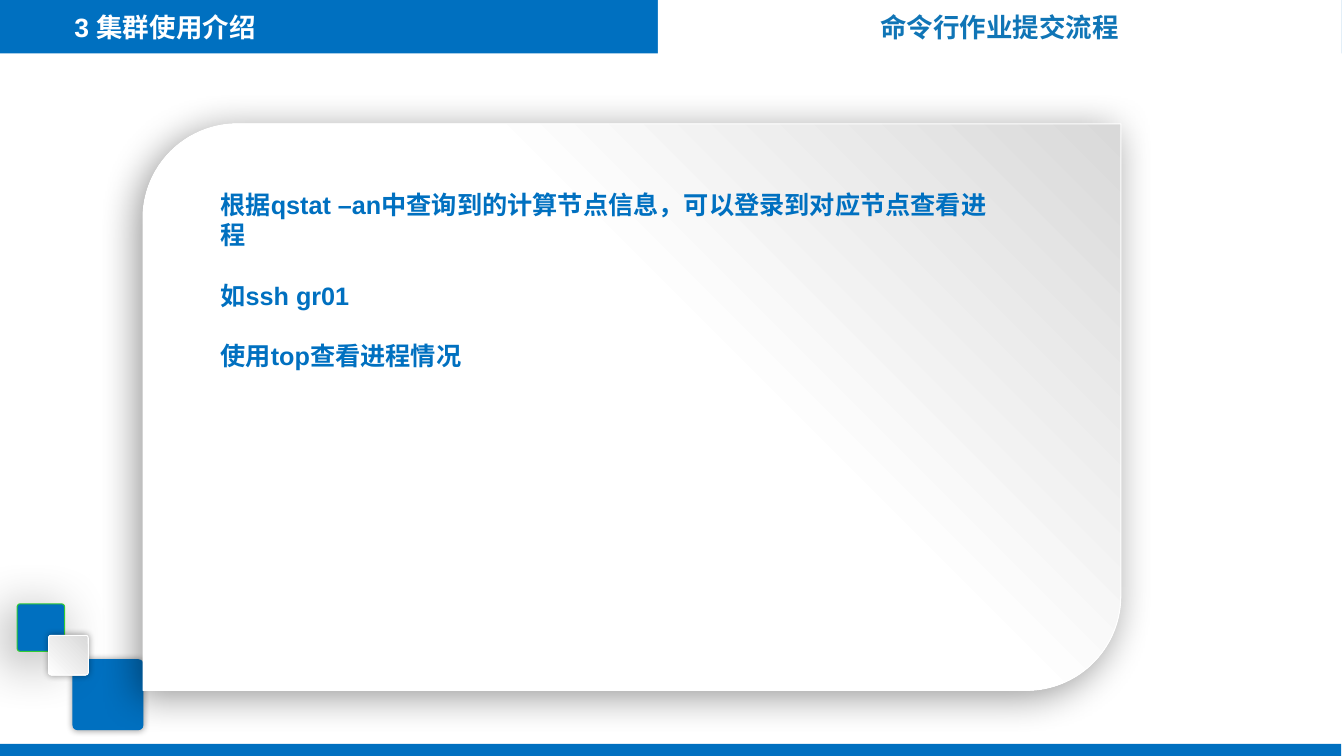
import pptx
import pptx.util
import pptx.dml.color
import pptx.enum.shapes
import pptx.enum.text
import pptx.oxml
import pptx.oxml.ns

Pt = pptx.util.Pt
SHAPE = pptx.enum.shapes.MSO_SHAPE
ALIGN = pptx.enum.text.PP_ALIGN
ANCHOR = pptx.enum.text.MSO_ANCHOR

COLORS = {
    "blue": "0070C0",
    "title": "1075B6",
    "white": "FFFFFF",
    "grey": "D9D9D9",
    "green": "33CC33",
    "shadow": "000000",
}


def rgb(name):
    return pptx.dml.color.RGBColor.from_string(COLORS[name])


def add_shadow(shape, blur, distance, angle):
    effects = shape.element.spPr.find(pptx.oxml.ns.qn("a:effectLst"))
    effects.append(pptx.oxml.parse_xml(
        f'<a:outerShdw {pptx.oxml.ns.nsdecls("a")} blurRad="{Pt(blur)}" '
        f'dist="{Pt(distance)}" dir="{angle * 60000}" algn="ctr" rotWithShape="0">'
        f'<a:srgbClr val="{COLORS["shadow"]}"><a:alpha val="40000"/></a:srgbClr>'
        '</a:outerShdw>'))


def add_block(page, kind, box, fill=None, fade=None, line=None, corner=None, shadow=None):
    """Add a shape; fade is the percentage at which grey has turned white."""
    shape = page.shapes.add_shape(kind, *(Pt(length) for length in box))
    if corner is not None:
        shape.adjustments[0] = corner
    if fade is None:
        shape.fill.solid()
        shape.fill.fore_color.rgb = rgb(fill)
    else:
        shape.fill.gradient()
        shape.fill.gradient_angle = 225
        stops = zip(shape.fill.gradient_stops, (("grey", 0), ("white", fade / 100)))
        for stop, (color, position) in stops:
            stop.color.rgb = rgb(color)
            stop.position = position
    if line:
        shape.line.color.rgb = rgb(line)
        shape.line.width = Pt(0.75)
    else:
        shape.line.fill.background()
    shape.shadow.inherit = False
    if shadow:
        add_shadow(shape, *shadow)
    return shape


def add_text(page, box, text, size=18, color="blue", align=ALIGN.LEFT,
             anchor=ANCHOR.TOP, gap=0):
    """Add bold text, one paragraph for each line, with a gap between them."""
    frame = page.shapes.add_textbox(*(Pt(length) for length in box)).text_frame
    frame.word_wrap = True
    frame.vertical_anchor = anchor
    for index, words in enumerate(text.split("\n")):
        para = frame.paragraphs[0] if index == 0 else frame.add_paragraph()
        para.alignment = align
        para.space_before = Pt(gap if index else 0)
        span = para.add_run()
        span.text = words
        span.font.name = "Arial"
        span.font.size = Pt(size)
        span.font.bold = True
        span.font.color.rgb = rgb(color)


def draw_header(page, box):
    left, top, width, height = box
    middle = left + 474
    right_box = (middle, top, left + width - middle, height)
    add_block(page, SHAPE.RECTANGLE, box, fill="blue")
    add_block(page, SHAPE.RECTANGLE, (*right_box[:3], height + 0.7), fill="white")
    add_text(page, (left + 50, top, 256, height), "3 集群使用介绍",
             size=18.9, color="white", anchor=ANCHOR.MIDDLE)
    add_text(page, right_box, "命令行作业提交流程",
             size=18.9, color="title", align=ALIGN.CENTER, anchor=ANCHOR.MIDDLE)


def draw_footer(page, box):
    add_block(page, SHAPE.RECTANGLE, box, fill="blue")


def draw_squares(page, box):
    left, top = box[:2]
    squares = [
        (39.6, 39.6, 50.6, dict(fill="blue", shadow=(5, 0, 0))),
        (0, 0, 34, dict(fill="blue", line="green", shadow=(40, 9, 135))),
        (22.5, 22.5, 28.4, dict(fade=100, line="white", shadow=(5, 0, 0))),
    ]
    for across, down, side, style in squares:
        add_block(page, SHAPE.ROUNDED_RECTANGLE,
                  (left + across, top + down, side, side), corner=0.067, **style)


def draw_panel(page, box):
    left, top = box[:2]
    add_block(page, SHAPE.ROUND_2_DIAG_RECTANGLE, box, fade=42, line="white",
              shadow=(27, 6, 135))
    add_text(page, (left + 48.2, top + 43.2, 579, 116.6),
             "根据qstat –an中查询到的计算节点信息，可以登录到对应节点查看进程\n"
             "如ssh gr01\n使用top查看进程情况", gap=21.5)


def main():
    deck = pptx.Presentation()
    deck.slide_width, deck.slide_height = Pt(960), Pt(540)
    page = deck.slides.add_slide(deck.slide_layouts[6])
    draw_footer(page, (-4, 531.4, 962, 9.4))
    draw_header(page, (-4, 0, 962, 38.2))
    draw_squares(page, (12.2, 431.3, 90.2, 90.2))
    draw_panel(page, (102.2, 88.5, 698.4, 404.6))
    deck.save("out.pptx")


if __name__ == "__main__":
    main()
